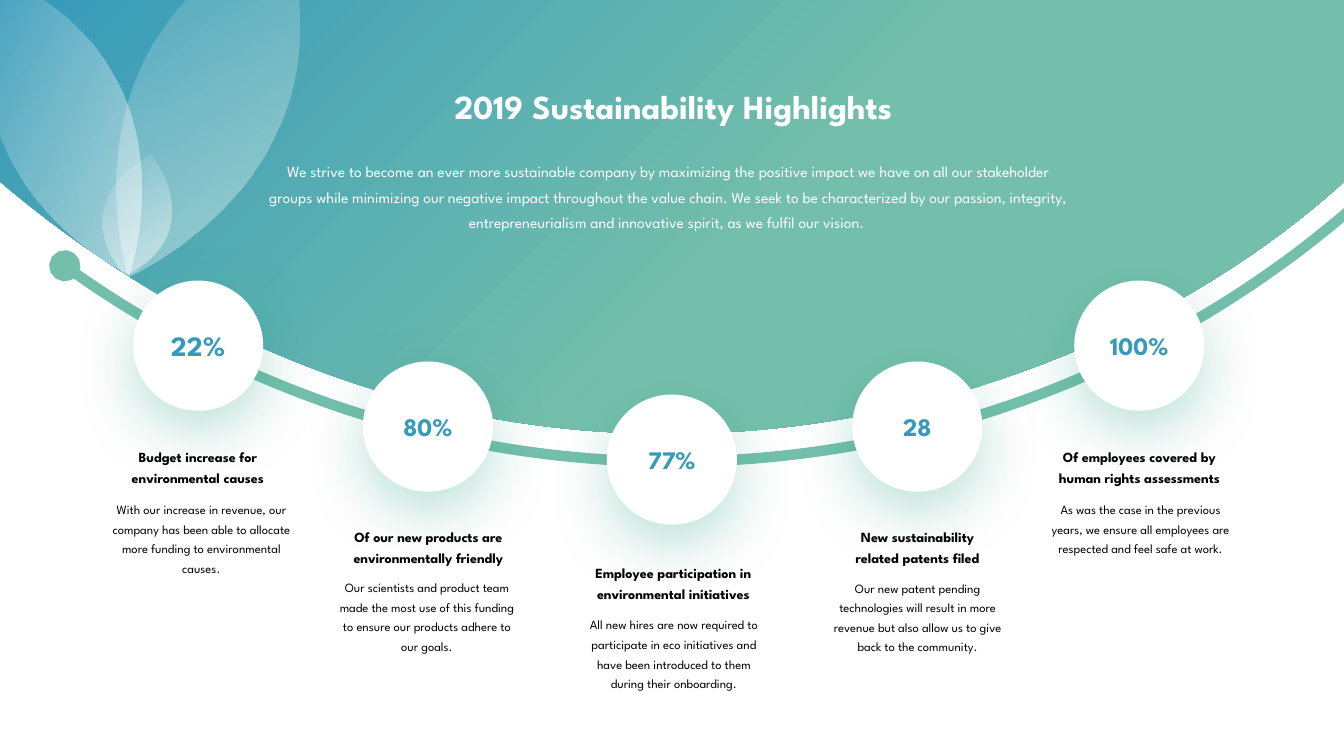
from dataclasses import dataclass

import lxml.etree
import pptx
import pptx.dml.color
import pptx.enum.shapes
import pptx.enum.text
import pptx.oxml.ns
import pptx.util

Pt = pptx.util.Pt
RGBColor = pptx.dml.color.RGBColor
SHAPE = pptx.enum.shapes.MSO_SHAPE
qn = pptx.oxml.ns.qn
Point = tuple[float, float]
Box = tuple[float, float, float, float]

BLUE = RGBColor(0x36, 0x9A, 0xBA)
GREEN = RGBColor(0x74, 0xBF, 0xAB)
SHADOW_GREEN = RGBColor(0x1D, 0x9A, 0x78)
WHITE = RGBColor(0xFF, 0xFF, 0xFF)
BLACK = RGBColor(0, 0, 0)

FONT = "League Spartan"
CIRCLE_SIZE = 93
CAPTION_HEIGHT, BODY_HEIGHT = 37, 63

# Outlines as commands with points in fractions of the box
BACKDROP_PATH = [("moveTo", [(0, 0)]), ("lnTo", [(1, 0)]), ("lnTo", [(1, 0.42)]),
                 ("cubicBezTo", [(0.78, 1.04), (0.35, 1.34), (0, 0.42)])]
LEAF_PATH = [("moveTo", [(0.5, 0)]),
             ("cubicBezTo", [(0.5, 0), (1.62, 0.49), (0.5, 1)]),
             ("cubicBezTo", [(-0.58, 0.51), (0.4, 0.05), (0.5, 0)])]


@dataclass
class Leaf:
    box: Box
    rotation: float
    alphas: tuple[int, int]


@dataclass
class Highlight:
    value: str
    size: float
    circle: Point
    caption: str
    caption_box: tuple[float, float, float]
    body: str
    body_box: tuple[float, float, float]


LEAVES = [
    Leaf((93.6, -61.9, 107.3, 271.4), 204.2, (42, 8)),
    Leaf((0.7, -26.6, 92.2, 231.8), 157, (51, 8)),
    Leaf((74.2, 109.4, 48.2, 88.6), 11.6, (3, 53)),
]

HIGHLIGHTS = [
    Highlight("22%", 20, (95, 200.4),
              "Budget increase for environmental causes", (69.3, 313.2, 144),
              "With our increase in revenue, our company has been able to allocate more "
              "funding to environmental causes.", (73.6, 351, 140.4)),
    Highlight("80%", 18, (259.2, 258.2),
              "Of our new products are environmentally friendly", (235.4, 370.1, 141.1),
              "Our scientists and product team made the most use of this funding to ensure "
              "our products adhere to our goals.", (234.7, 406.8, 140.4)),
    Highlight("77%", 18, (433.4, 281.8),
              "Employee participation in environmental initiatives", (410.4, 396, 141.1),
              "All new hires are now required to participate in eco initiatives and have "
              "been introduced to them during their onboarding.", (411.1, 433.4, 140.4)),
    Highlight("28", 18, (608.7, 258.2),
              "New sustainability related patents filed", (601.4, 370.1, 108),
              "Our new patent pending technologies will result in more revenue but also "
              "allow us to give back to the community.", (585.2, 407.2, 140.4)),
    Highlight("100%", 18, (767.3, 200.4),
              "Of employees covered by human rights assessments", (744, 313.2, 139.7),
              "As was the case in the previous years, we ensure all employees are respected "
              "and feel safe at work.", (745.9, 351, 137.5)),
]


def set_text(sp, text: str, *, size: float, color: RGBColor, bold: bool = False,
             spacing: float | None = None, insets: Box = (4.3, 4.3, 4.3, 4.3),
             anchor=pptx.enum.text.MSO_ANCHOR.TOP, wrap: bool = True) -> None:
    tf = sp.text_frame
    tf.word_wrap = wrap
    tf.auto_size = pptx.enum.text.MSO_AUTO_SIZE.NONE
    tf.vertical_anchor = anchor
    tf.margin_left, tf.margin_top, tf.margin_right, tf.margin_bottom = map(Pt, insets)
    p = tf.paragraphs[0]
    p.alignment = pptx.enum.text.PP_ALIGN.CENTER
    if spacing:
        p.line_spacing = Pt(spacing)
    r = p.add_run()
    r.text = text
    r.font.name, r.font.size, r.font.bold = FONT, Pt(size), bold
    r.font.color.rgb = color


def add_outline(shapes, box: Box, commands: list[tuple[str, list[Point]]]):
    """Add a freeform filling the box, with its path made of straight and cubic parts."""
    left, top, width, height = map(Pt, box)
    builder = shapes.build_freeform(left, top)
    builder.add_line_segments([(left + width, top + height)])
    sp = builder.convert_to_shape()
    path = next(sp._element.iter(qn("a:path")))
    for child in list(path):
        path.remove(child)
    for command, points in commands:
        node = lxml.etree.SubElement(path, qn(f"a:{command}"))
        for x, y in points:
            lxml.etree.SubElement(node, qn("a:pt"), x=str(round(x * width)), y=str(round(y * height)))
    lxml.etree.SubElement(path, qn("a:close"))
    sp.shadow.inherit = False
    sp.line.fill.background()
    return sp


def fill_gradient(sp, stops: list[tuple[float, RGBColor, int]]) -> None:
    """Fill diagonally with (position, colour, opacity percent) stops."""
    sp.fill.gradient()
    sp.fill.gradient_angle = 315
    for stop, (position, color, _) in zip(sp.fill.gradient_stops, stops):
        stop.position = position
        stop.color.rgb = color
    colors = sp._element.spPr.find(qn("a:gradFill")).iter(qn("a:srgbClr"))
    for clr, (_, _, alpha) in zip(colors, stops):
        if alpha < 100:
            lxml.etree.SubElement(clr, qn("a:alpha"), val=str(alpha * 1000))


def add_arc(shapes) -> None:
    sp = shapes.add_shape(SHAPE.ARC, Pt(-262), Pt(-1154.2), Pt(1484), Pt(1484))
    sp.adjustments[0], sp.adjustments[1] = 28.26, 75.46
    sp.shadow.inherit = False
    sp.fill.background()
    sp.line.color.rgb = GREEN
    sp.line.width = Pt(7.5)
    line = sp._element.spPr.find(qn("a:ln"))
    lxml.etree.SubElement(line, qn("a:tailEnd"), type="oval")


def add_circle(shapes, h: Highlight) -> None:
    sp = shapes.add_shape(SHAPE.OVAL, *map(Pt, h.circle), Pt(CIRCLE_SIZE), Pt(CIRCLE_SIZE))
    sp.fill.solid()
    sp.fill.fore_color.rgb = WHITE
    sp.line.fill.background()
    sp.shadow.inherit = False
    effects = sp._element.spPr.find(qn("a:effectLst"))
    shadow = lxml.etree.SubElement(effects, qn("a:outerShdw"), blurRad=str(Pt(44)), dist=str(Pt(14)),
                                   dir=str(90 * 60000), algn="t", rotWithShape="0")
    clr = lxml.etree.SubElement(shadow, qn("a:srgbClr"), val=str(SHADOW_GREEN))
    lxml.etree.SubElement(clr, qn("a:alpha"), val="30000")
    set_text(sp, h.value, size=h.size, color=BLUE, bold=True, wrap=False,
             anchor=pptx.enum.text.MSO_ANCHOR.MIDDLE)


def add_description(shapes, h: Highlight) -> None:
    group = shapes.add_group_shape()
    for text, box, height, size, bold, spacing in (
            (h.caption, h.caption_box, CAPTION_HEIGHT, 10, True, 15),
            (h.body, h.body_box, BODY_HEIGHT, 9, False, 14)):
        sp = group.shapes.add_textbox(*map(Pt, box), Pt(height))
        set_text(sp, text, size=size, color=BLACK, bold=bold, spacing=spacing)


def add_leaf(shapes, leaf: Leaf) -> None:
    sp = add_outline(shapes, leaf.box, LEAF_PATH)
    sp.rotation = leaf.rotation
    fill_gradient(sp, [(i, WHITE, alpha) for i, alpha in enumerate(leaf.alphas)])


def main() -> None:
    prs = pptx.Presentation()
    prs.slide_width, prs.slide_height = Pt(960), Pt(540)
    s = prs.slides.add_slide(prs.slide_layouts[5])

    backdrop = add_outline(s.shapes, (0, 0, 960, 309), BACKDROP_PATH)
    fill_gradient(backdrop, [(0, BLUE, 100), (0.57, GREEN, 100)])
    add_leaf(s.shapes, LEAVES[0])
    add_arc(s.shapes)
    for h in HIGHLIGHTS:
        add_circle(s.shapes, h)
    for leaf in LEAVES[1:]:
        add_leaf(s.shapes, leaf)

    title = s.shapes.title
    title.left, title.top, title.width, title.height = Pt(262.8), Pt(59), Pt(436.3), Pt(33.1)
    set_text(title, "2019 Sustainability Highlights", size=24, color=WHITE, bold=True,
             insets=(2.2, 2.2, 2.2, 2.2))
    s.shapes._spTree.append(title._element)  # bring the title in front of the backdrop

    intro = s.shapes.add_textbox(Pt(188.6), Pt(107.5), Pt(583.2), Pt(59.8))
    set_text(intro, "We strive to become an ever more sustainable company by maximizing the positive "
             "impact we have on all our stakeholder groups while minimizing our negative impact "
             "throughout the value chain. We seek to be characterized by our passion, integrity, "
             "entrepreneurialism and innovative spirit, as we fulfil our vision. ",
             size=11, color=WHITE, spacing=18.2, insets=(2.2, 3.6, 7.2, 3.6))
    for h in HIGHLIGHTS:
        add_description(s.shapes, h)
    prs.save("out.pptx")


if __name__ == "__main__":
    main()
